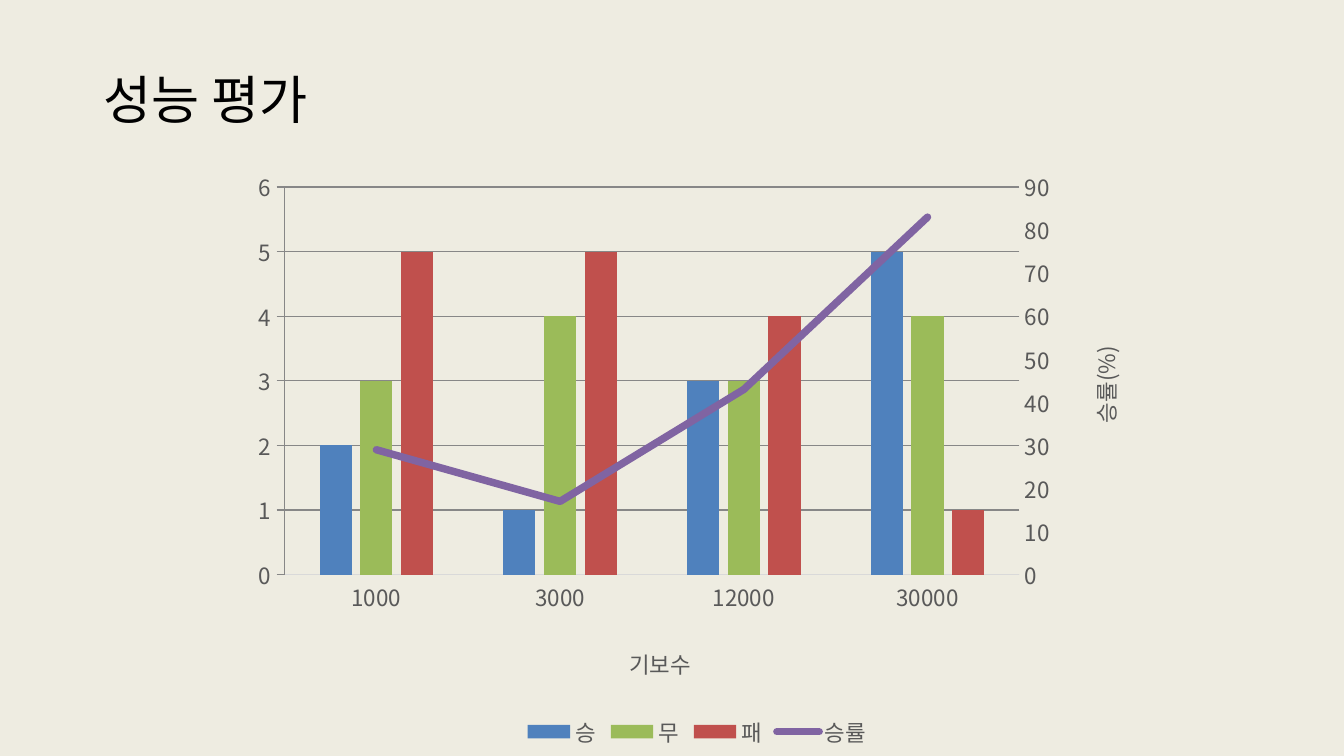
import pptx
import pptx.chart.axis
import pptx.chart.data
import pptx.dml.color
import pptx.enum.chart
import pptx.enum.shapes
import pptx.enum.text
import pptx.oxml
import pptx.oxml.ns
import pptx.util

TITLE = "성능 평가"
CATEGORIES = ["1000", "3000", "12000", "30000"]
RESULTS = [
    ("승", [2, 1, 3, 5], "4F81BD"),
    ("무", [3, 4, 3, 4], "9BBB59"),
    ("패", [5, 5, 4, 1], "C0504D"),
    ("승률", [29, 17, 43, 83], "8064A2"),
]
CATEGORY_TITLE = "기보수"
RATE_TITLE = "승률(%)"

THEME = {
    "font": "Noto Sans CJK KR",
    "background": "EEECE1",
    "title": "000000",
    "label": "595959",
    "grid": "D9D9D9",
    "title_size": 28,
    "label_size": 12,
    "grid_width": 0.75,
    "rate_width": 4,
}
SLIDE_SIZE = (720, 405)
TITLE_BOX = (48.2, 32.4, 137.5, 41)
CHART_BOX = (133.2, 84.2, 480.2, 319.7)
PLOT_LAYOUT = {"x": 0.04, "y": 0.05, "w": 0.82, "h": 0.65}
CATEGORY_TITLE_LAYOUT = {"x": 0.42, "y": 0.81}
RATE_TITLE_LAYOUT = {"x": 0.93, "y": 0.31}

NAMESPACES = pptx.oxml.ns.nsdecls("c", "a")
RATE_PLOT = f"""<c:lineChart {NAMESPACES}><c:grouping val="standard"/>
<c:varyColors val="0"/><c:marker val="1"/><c:axId val="501"/><c:axId val="502"/></c:lineChart>"""
RATE_VALUE_AXIS = f"""<c:valAx {NAMESPACES}><c:axId val="502"/>
<c:scaling><c:orientation val="minMax"/></c:scaling><c:delete val="0"/><c:axPos val="r"/>
<c:numFmt formatCode="General" sourceLinked="0"/><c:majorTickMark val="out"/>
<c:minorTickMark val="none"/><c:tickLblPos val="nextTo"/><c:crossAx val="501"/>
<c:crosses val="max"/><c:crossBetween val="between"/></c:valAx>"""
RATE_CATEGORY_AXIS = f"""<c:catAx {NAMESPACES}><c:axId val="501"/>
<c:scaling><c:orientation val="minMax"/></c:scaling><c:delete val="1"/><c:axPos val="b"/>
<c:majorTickMark val="none"/><c:minorTickMark val="none"/><c:tickLblPos val="nextTo"/>
<c:crossAx val="502"/><c:crosses val="autoZero"/></c:catAx>"""


def apply(target, values):
    for name, value in values.items():
        setattr(target, name, value)


def points(values):
    return [pptx.util.Pt(value) for value in values]


def color(value):
    return pptx.dml.color.RGBColor.from_string(value)


def format_font(font, size, font_color):
    apply(font, {"name": THEME["font"], "size": pptx.util.Pt(size), "bold": False})
    font.color.rgb = color(font_color)


def format_label(font):
    format_font(font, THEME["label_size"], THEME["label"])


def format_line(line, line_color, width):
    line.color.rgb = color(line_color)
    line.width = pptx.util.Pt(width)


def add_east_asian_font(element):
    for latin in element.xpath(".//a:latin"):
        latin.addnext(pptx.oxml.parse_xml(
            f'<a:ea {NAMESPACES} typeface="{THEME["font"]}"/>'))


def set_layout(element, index, layout):
    for existing in element.xpath("c:layout"):
        element.remove(existing)
    modes = "".join(f'<c:{key}Mode val="edge"/>' for key in "xy")
    target = '<c:layoutTarget val="inner"/>' if "w" in layout else ""
    values = "".join(f'<c:{key} val="{value}"/>' for key, value in layout.items())
    element.insert(index, pptx.oxml.parse_xml(
        f"<c:layout {NAMESPACES}><c:manualLayout>{target}{modes}{values}"
        "</c:manualLayout></c:layout>"))


def add_axis_title(axis, text, layout, rotation):
    frame = axis.axis_title.text_frame
    frame.text = text
    format_label(frame.paragraphs[0].runs[0].font)
    title = axis.axis_title.element
    title.xpath(".//a:bodyPr")[0].set("rot", str(rotation * 60000))
    set_layout(title, 1, layout)


def add_title(slide):
    title = slide.shapes.title
    apply(title, dict(zip(("left", "top", "width", "height"), points(TITLE_BOX))))
    frame = title.text_frame
    frame.text = TITLE
    apply(frame, {
        "word_wrap": False,
        "auto_size": pptx.enum.text.MSO_AUTO_SIZE.SHAPE_TO_FIT_TEXT,
        "vertical_anchor": pptx.enum.text.MSO_ANCHOR.TOP,
    })
    paragraph = frame.paragraphs[0]
    paragraph.alignment = pptx.enum.text.PP_ALIGN.LEFT
    format_font(paragraph.runs[0].font, THEME["title_size"], THEME["title"])
    add_east_asian_font(title.element)


def add_background(slide):
    background = slide.shapes.add_shape(
        pptx.enum.shapes.MSO_SHAPE.RECTANGLE, 0, 0, *points(SLIDE_SIZE))
    background.shadow.inherit = False
    background.fill.solid()
    background.fill.fore_color.rgb = color(THEME["background"])
    background.line.fill.background()
    slide.shapes.title.element.addprevious(background.element)


def move_rate_to_second_axis(chart):
    plot_area = chart.element.xpath(".//c:plotArea")[0]
    bar_plot = plot_area.xpath("c:barChart")[0]
    rate = bar_plot.xpath("c:ser")[-1]
    for element in rate.xpath("c:invertIfNegative"):
        rate.remove(element)
    rate_plot = pptx.oxml.parse_xml(RATE_PLOT)
    rate_plot.insert(2, rate)
    bar_plot.addnext(rate_plot)
    value_axis = pptx.oxml.parse_xml(RATE_VALUE_AXIS)
    plot_area.xpath("c:valAx")[0].addnext(value_axis)
    value_axis.addnext(pptx.oxml.parse_xml(RATE_CATEGORY_AXIS))
    set_layout(plot_area, 0, PLOT_LAYOUT)
    return pptx.chart.axis.ValueAxis(value_axis)


def add_chart(slide):
    data = pptx.chart.data.CategoryChartData()
    data.categories = CATEGORIES
    for name, values, _ in RESULTS:
        data.add_series(name, values)
    chart = slide.shapes.add_chart(
        pptx.enum.chart.XL_CHART_TYPE.COLUMN_CLUSTERED, *points(CHART_BOX), data).chart
    apply(chart, {"has_title": False, "has_legend": True})
    format_label(chart.font)
    apply(chart.legend, {
        "position": pptx.enum.chart.XL_LEGEND_POSITION.BOTTOM,
        "include_in_layout": False,
    })
    format_label(chart.legend.font)

    rate_axis = move_rate_to_second_axis(chart)
    bars, lines = chart.plots
    apply(bars, {"gap_width": 219, "overlap": -27, "vary_by_categories": False})
    for series, (_, _, fill) in zip(bars.series, RESULTS):
        series.format.fill.solid()
        series.format.fill.fore_color.rgb = color(fill)
    rate = lines.series[0]
    rate.smooth = False
    rate.marker.style = pptx.enum.chart.XL_MARKER_STYLE.NONE
    format_line(rate.format.line, RESULTS[-1][2], THEME["rate_width"])
    chart.element.xpath(".//c:lineChart/c:ser/c:spPr/a:ln")[0].set("cap", "rnd")

    no_tick = pptx.enum.chart.XL_TICK_MARK.NONE
    category_axis, value_axis = chart.category_axis, chart.value_axis
    apply(category_axis, {"major_tick_mark": no_tick})
    apply(value_axis, {"major_tick_mark": no_tick, "minimum_scale": 0,
                       "maximum_scale": 6, "major_unit": 1})
    apply(rate_axis, {"minimum_scale": 0, "maximum_scale": 90, "major_unit": 10})
    for axis in (category_axis, value_axis, rate_axis):
        format_label(axis.tick_labels.font)
    for axis in (value_axis, rate_axis):
        axis.format.line.fill.background()
    for line in (category_axis.format.line, value_axis.major_gridlines.format.line):
        format_line(line, THEME["grid"], THEME["grid_width"])
    add_axis_title(category_axis, CATEGORY_TITLE, CATEGORY_TITLE_LAYOUT, 0)
    add_axis_title(rate_axis, RATE_TITLE, RATE_TITLE_LAYOUT, -90)
    add_east_asian_font(chart.element)


def main():
    presentation = pptx.Presentation()
    apply(presentation, dict(zip(("slide_width", "slide_height"), points(SLIDE_SIZE))))
    slide = presentation.slides.add_slide(presentation.slide_layouts[5])
    add_background(slide)
    add_title(slide)
    add_chart(slide)
    presentation.save("out.pptx")


if __name__ == "__main__":
    main()
